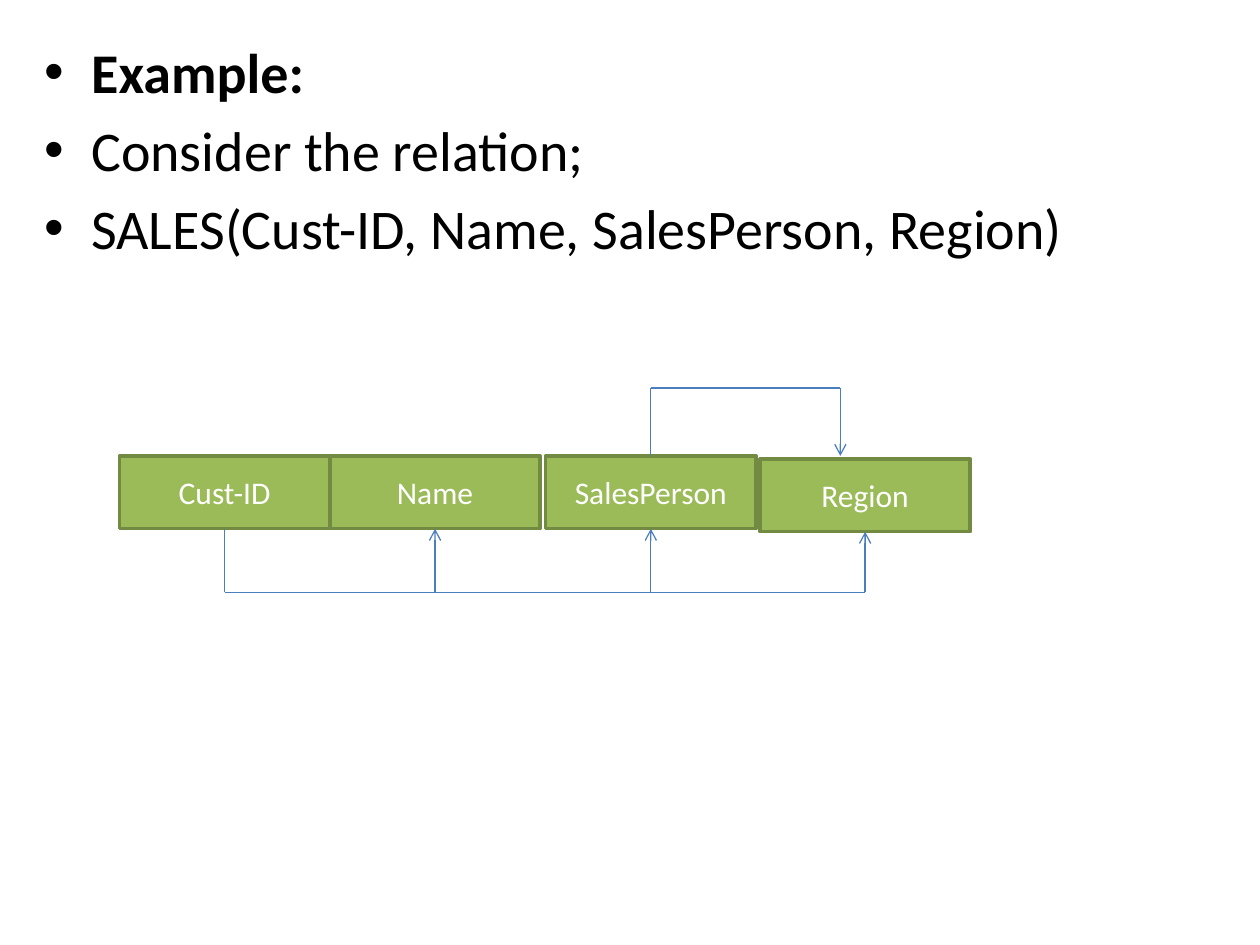
from lxml import etree
from pptx import Presentation
from pptx.dml.color import RGBColor
from pptx.enum.shapes import MSO_CONNECTOR, MSO_SHAPE
from pptx.enum.text import MSO_ANCHOR, PP_ALIGN
from pptx.oxml.ns import qn
from pptx.util import Cm, Pt

RECTANGLE = MSO_SHAPE.RECTANGLE
STRAIGHT = MSO_CONNECTOR.STRAIGHT
MIDDLE = MSO_ANCHOR.MIDDLE
LEFT, CENTER = PP_ALIGN.LEFT, PP_ALIGN.CENTER

COLORS = {
    "text": "000000",
    "box": "9BBB59",
    "border": "738A42",
    "box_text": "FFFFFF",
    "arrow": "4B7EBC",
}


def color(name):
    """Return the named colour."""
    return RGBColor.from_string(COLORS[name])


class SlideBuilder:
    """Holds the style and the current slide."""

    font = "Calibri"
    body_size, box_size = Pt(32), Pt(18)
    border_width, arrow_width = Pt(2), Pt(0.75)
    indent = Cm(0.95)

    def __init__(self, slide):
        """Keep the slide to draw on."""
        self.slide = slide

    def add_run(self, paragraph, text, size, color_name, bold=False):
        """Add one styled run to a paragraph."""
        run = paragraph.add_run()
        run.text = text
        run.font.name = self.font
        run.font.size = size
        run.font.bold = bold
        run.font.color.rgb = color(color_name)

    def add_bullets(self, left, top, width, height, items):
        """Add a text box of bulleted (text, bold) items."""
        box = self.slide.shapes.add_textbox(Cm(left), Cm(top), Cm(width), Cm(height))
        frame = box.text_frame
        frame.word_wrap = True
        for index, (text, bold) in enumerate(items):
            paragraph = frame.add_paragraph() if index else frame.paragraphs[0]
            paragraph.alignment = LEFT
            paragraph.space_before = Pt(6)
            properties = paragraph._p.get_or_add_pPr()
            properties.set("marL", str(self.indent))
            properties.set("indent", str(-self.indent))
            etree.SubElement(properties, qn("a:buFont"), typeface="Arial")
            etree.SubElement(properties, qn("a:buChar"), char="•")
            self.add_run(paragraph, text, self.body_size, "text", bold)

    def add_box(self, left, top, width, height, text):
        """Add a labelled attribute box."""
        shape = self.slide.shapes.add_shape(
            RECTANGLE, Cm(left), Cm(top), Cm(width), Cm(height))
        shape.shadow.inherit = False
        shape.fill.solid()
        shape.fill.fore_color.rgb = color("box")
        shape.line.color.rgb = color("border")
        shape.line.width = self.border_width
        frame = shape.text_frame
        frame.word_wrap = True
        frame.vertical_anchor = MIDDLE
        paragraph = frame.paragraphs[0]
        paragraph.alignment = CENTER
        self.add_run(paragraph, text, self.box_size, "box_text")

    def add_line(self, start, end, arrow=False):
        """Add a straight line, with an arrowhead at its end if asked."""
        connector = self.slide.shapes.add_connector(
            STRAIGHT, *(Cm(value) for value in (*start, *end)))
        connector.line.color.rgb = color("arrow")
        connector.line.width = self.arrow_width
        if arrow:
            etree.SubElement(connector.line._get_or_add_ln(), qn("a:tailEnd"), type="arrow")
        etree.SubElement(connector._element.spPr, qn("a:effectLst"))

    def add_path(self, *points, arrow=False):
        """Join points with straight lines, the last one with an arrowhead if asked."""
        for index in range(1, len(points)):
            is_last = index == len(points) - 1
            self.add_line(points[index - 1], points[index], arrow and is_last)


def main():
    """Build the slide and save it."""
    presentation = Presentation()
    presentation.slide_width, presentation.slide_height = Cm(25.4), Cm(19.05)
    slide = presentation.slides.add_slide(presentation.slide_layouts[6])
    builder = SlideBuilder(slide)

    builder.add_bullets(0.64, 0.64, 23.5, 16.38, [
        ("Example:", True),
        ("Consider the relation;", False),
        ("SALES(Cust-ID, Name, SalesPerson, Region)", False),
    ])

    box_width, box_height = 4.24, 1.47
    row_top, region_top = 9.19, 9.25
    attributes = [
        ("Cust-ID", 2.41, row_top),
        ("Name", 6.65, row_top),
        ("SalesPerson", 11, row_top),
        ("Region", 15.32, region_top),
    ]
    bottoms = {}
    for name, left, top in attributes:
        builder.add_box(left, top, box_width, box_height, name)
        bottoms[name] = (left + box_width / 2, top + box_height)

    key_x, person_x = bottoms["Cust-ID"][0], bottoms["SalesPerson"][0]
    region_x = bottoms["Region"][0]
    lower_y, upper_y, upper_end_x = 11.94, 7.82, 16.94
    builder.add_path(bottoms["Cust-ID"], (key_x, lower_y), (region_x, lower_y),
                     bottoms["Region"], arrow=True)
    for name in ("SalesPerson", "Name"):
        builder.add_line((bottoms[name][0], lower_y), bottoms[name], arrow=True)
    builder.add_path((person_x, row_top), (person_x, upper_y),
                     (upper_end_x, upper_y), (upper_end_x, row_top), arrow=True)

    presentation.save("out.pptx")


main()
